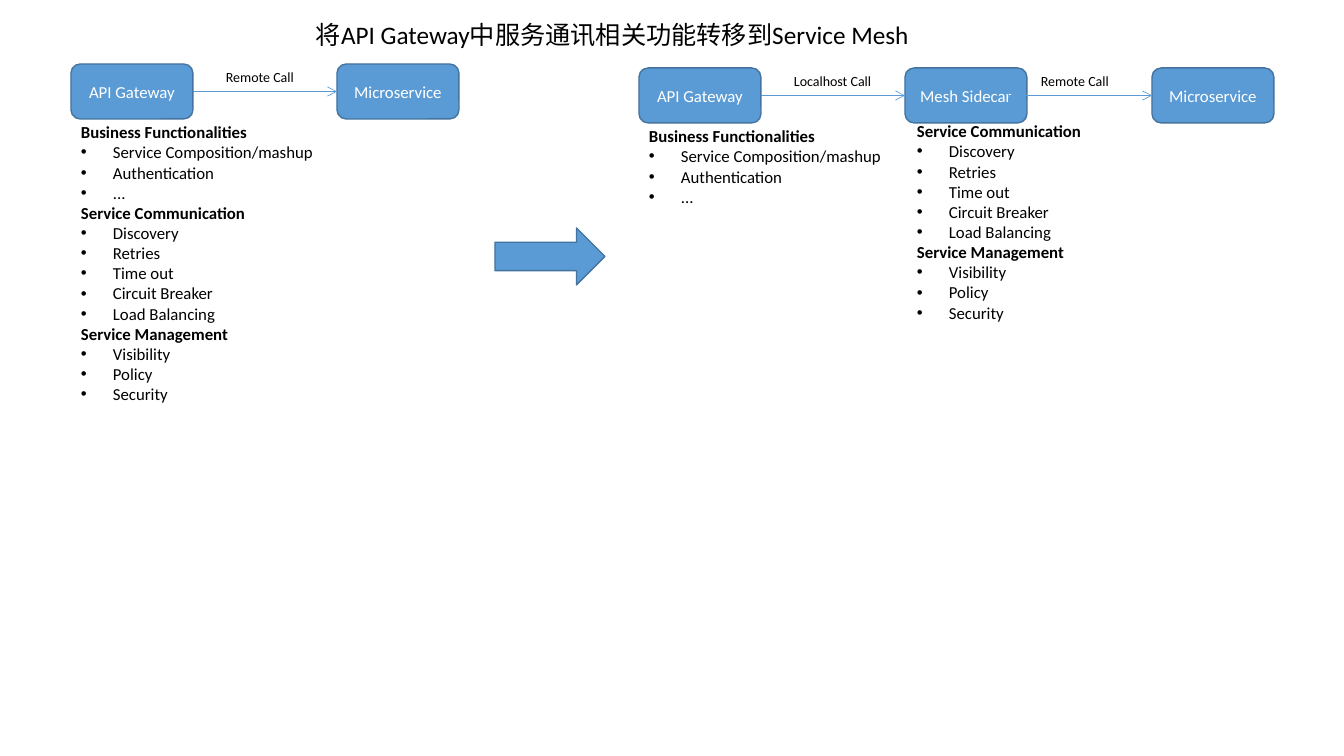
from lxml import etree
from pptx import Presentation
from pptx.dml.color import RGBColor
from pptx.enum.shapes import MSO_CONNECTOR, MSO_SHAPE
from pptx.enum.text import MSO_ANCHOR, MSO_AUTO_SIZE, PP_ALIGN
from pptx.oxml.ns import qn
from pptx.util import Emu, Pt

ROUNDED, RIGHT_ARROW = MSO_SHAPE.ROUNDED_RECTANGLE, MSO_SHAPE.RIGHT_ARROW
STRAIGHT = MSO_CONNECTOR.STRAIGHT
MIDDLE, CENTER, LEFT = MSO_ANCHOR.MIDDLE, PP_ALIGN.CENTER, PP_ALIGN.LEFT
FIT = MSO_AUTO_SIZE.SHAPE_TO_FIT_TEXT

THEME = {
    "font": "Calibri",
    "fill": RGBColor(0x5B, 0x9B, 0xD5),
    "outline": RGBColor(0x43, 0x73, 0x9E),
    "title": {"size": Pt(18), "color": RGBColor(0, 0, 0)},
    "box": {"size": Pt(12), "color": RGBColor(255, 255, 255)},
    "label": {"size": Pt(10), "color": RGBColor(0, 0, 0)},
    "item": {"size": Pt(12), "color": RGBColor(0, 0, 0)},
    "heading": {"size": Pt(12), "color": RGBColor(0, 0, 0), "bold": True},
}

TITLE = "将API Gateway中服务通讯相关功能转移到Service Mesh"
BUSINESS = ("Business Functionalities", ["Service Composition/mashup", "Authentication", "..."])
COMMUNICATION = ("Service Communication",
                 ["Discovery", "Retries", "Time out", "Circuit Breaker", "Load Balancing"])
MANAGEMENT = ("Service Management", ["Visibility", "Policy", "Security"])

FLOWS = [
    {"top": 64, "boxes": [("API Gateway", 71), ("Microservice", 337)],
     "calls": ["Remote Call"]},
    {"top": 68, "boxes": [("API Gateway", 639), ("Mesh Sidecar", 905), ("Microservice", 1152)],
     "calls": ["Localhost Call", "Remote Call"]},
]
DUTIES = [
    (71, 117, 295, [BUSINESS, COMMUNICATION, MANAGEMENT]),
    (639, 121, 109, [BUSINESS]),
    (907, 116, 214, [COMMUNICATION, MANAGEMENT]),
]

SLIDE_W, SLIDE_H = 1344, 756
BOX_W, BOX_H = 122, 55
CALL_LENGTH, LABEL_LEAD, LABEL_W, LABEL_H = 144, 121, 134, 27
DUTY_W, INDENT = 423, 32
TITLE_AT, SHIFT_ARROW_AT = (306, 14, 667, 40), (495, 228, 110, 57)


def px(n):
    return Emu(round(n * 914400 / 100.8))


def write(p, text, style, align=LEFT):
    p.alignment = align
    r = p.add_run()
    r.text = text
    r.font.name = THEME["font"]
    for name, value in THEME[style].items():
        if name == "color":
            r.font.color.rgb = value
        else:
            setattr(r.font, name, value)


def add_text(at):
    tf = s.shapes.add_textbox(*map(px, at)).text_frame
    for name, value in {"word_wrap": True, "auto_size": FIT}.items():
        setattr(tf, name, value)
    return tf


def add_block(kind, at):
    sp = s.shapes.add_shape(kind, *map(px, at))
    sp.shadow.inherit = False
    sp.fill.solid()
    sp.fill.fore_color.rgb = THEME["fill"]
    sp.line.color.rgb = THEME["outline"]
    sp.line.width = Pt(1)
    return sp


def add_box(text, left, top):
    sp = add_block(ROUNDED, (left, top, BOX_W, BOX_H))
    sp.text_frame.vertical_anchor = MIDDLE
    write(sp.text_frame.paragraphs[0], text, "box", CENTER)
    return sp


def add_call(text, target, left, top):
    y = top + BOX_H / 2
    line = s.shapes.add_connector(STRAIGHT, px(left - CALL_LENGTH), px(y), px(left), px(y))
    line.end_connect(target, 1)
    line.line.color.rgb = THEME["fill"]
    line.line.width = Pt(0.5)
    etree.SubElement(line.line._get_or_add_ln(), qn("a:tailEnd"), type="arrow")
    etree.SubElement(line._element.spPr, qn("a:effectLst"))
    tf = add_text((left - LABEL_LEAD, top, LABEL_W, LABEL_H))
    write(tf.paragraphs[0], text, "label")


def add_bullet(p):
    pPr = p._p.get_or_add_pPr()
    pPr.set("marL", str(px(INDENT)))
    pPr.set("indent", str(-px(INDENT)))
    etree.SubElement(pPr, qn("a:buFont"), typeface="Arial")
    etree.SubElement(pPr, qn("a:buChar"), char="•")


def add_duties(left, top, height, groups):
    tf = add_text((left, top, DUTY_W, height))
    rows = [row for heading, items in groups
            for row in [(heading, "heading"), *((item, "item") for item in items)]]
    for i, (text, style) in enumerate(rows):
        p = tf.add_paragraph() if i else tf.paragraphs[0]
        write(p, text, style)
        if style == "item":
            add_bullet(p)


prs = Presentation()
prs.slide_width, prs.slide_height = px(SLIDE_W), px(SLIDE_H)
s = prs.slides.add_slide(prs.slide_layouts[6])

for flow in FLOWS:
    top = flow["top"]
    boxes = [add_box(text, left, top) for text, left in flow["boxes"]]
    for call, target, (_, left) in zip(flow["calls"], boxes[1:], flow["boxes"][1:]):
        add_call(call, target, left, top)
for duty in DUTIES:
    add_duties(*duty)
add_block(RIGHT_ARROW, SHIFT_ARROW_AT)
write(add_text(TITLE_AT).paragraphs[0], TITLE, "title")

prs.save("out.pptx")
